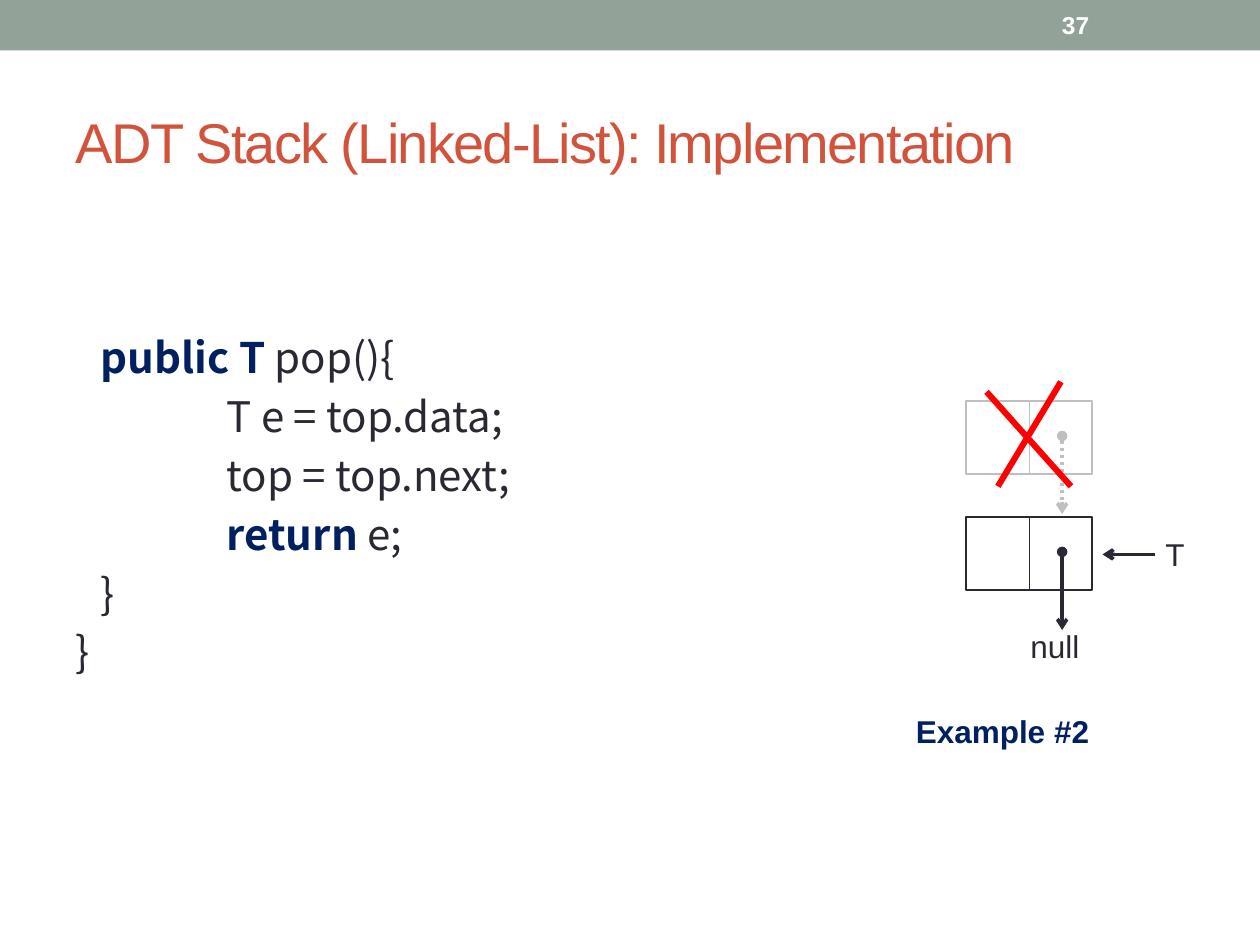
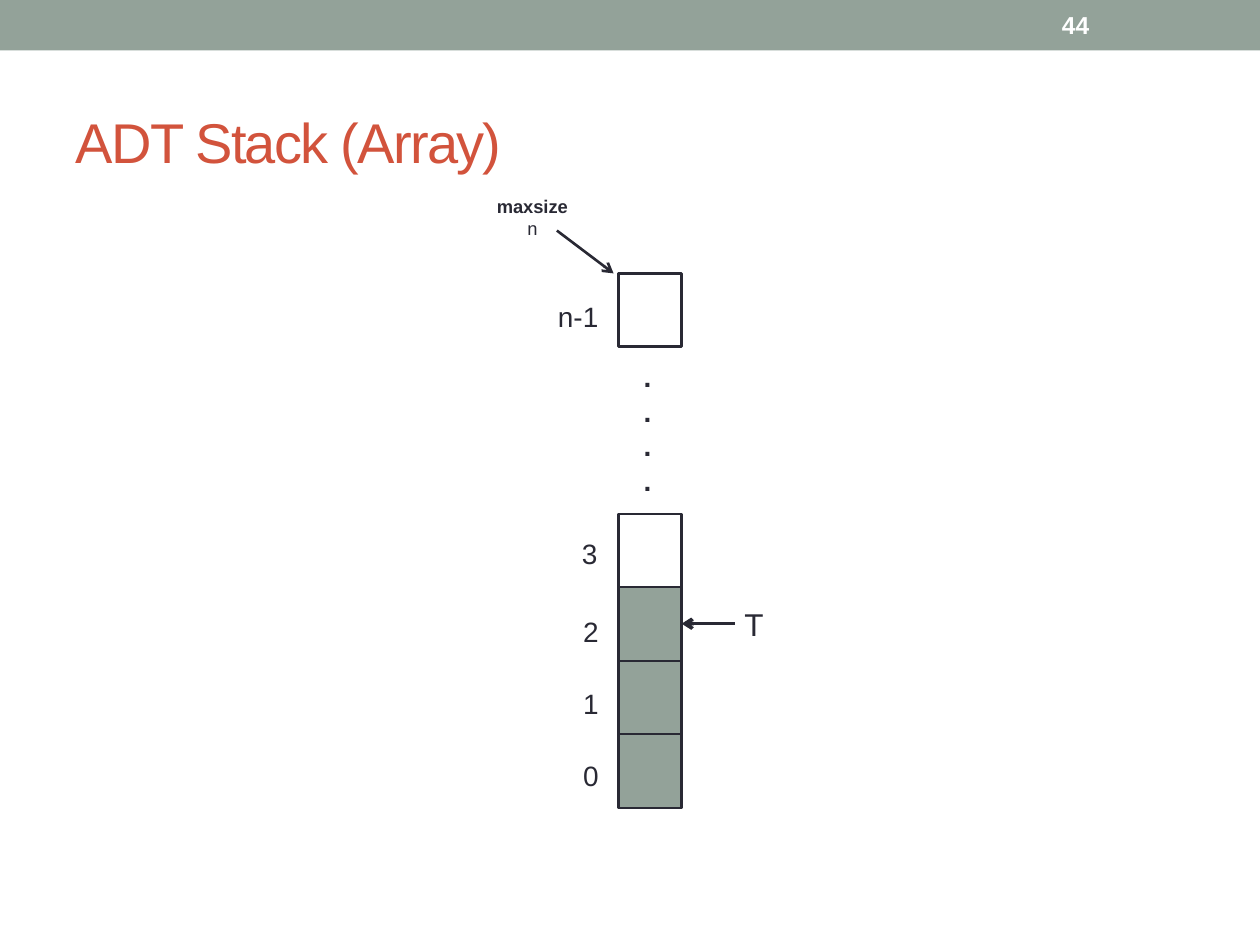
"""Build two slides on stacks: linked-list pop and the array layout."""
from lxml import etree
from pptx import Presentation
from pptx.dml.color import RGBColor
from pptx.enum.dml import MSO_LINE
from pptx.enum.shapes import MSO_CONNECTOR, MSO_SHAPE
from pptx.enum.text import MSO_ANCHOR, PP_ALIGN
from pptx.oxml.ns import qn
from pptx.util import Inches, Pt

RECT, LINE = MSO_SHAPE.RECTANGLE, MSO_CONNECTOR.STRAIGHT
MIDDLE, TOP = MSO_ANCHOR.MIDDLE, MSO_ANCHOR.TOP
LEFT, CENTER = PP_ALIGN.LEFT, PP_ALIGN.CENTER
DOT = MSO_LINE.ROUND_DOT

INK, SAGE, RUST, NAVY = "292934", "93A299", "D2533C", "002060"
WHITE, GRAY, RED = "FFFFFF", "BFBFBF", "FF0000"
SANS, CODE = "Arial", "Noto Sans CJK SC"

PAGES = [("ADT Stack (Linked-List): Implementation", "37"),
         ("ADT Stack (Array)", "44")]
POP = [(0.2, [("public T", True), (" pop(){", False)]),
       (1.2, [("T e = top.data;", False)]),
       (1.2, [("top = top.next;", False)]),
       (1.2, [("return", True), (" e;", False)]),
       (0.2, [("}", False)]),
       (0, [("}", False)])]
NODES = [(4.1, INK, None), (3.18, GRAY, DOT)]
CROSS = [(8.42, 3.03, 7.92, 3.86), (7.83, 3.11, 8.5, 3.86)]
CELLS = [("0", SAGE, 4.53, 5.97), ("1", SAGE, 4.53, 5.4),
         ("2", SAGE, 4.53, 4.83), ("3", WHITE, 4.52, 4.21)]
CELL_X, CELL_W, CELL_H, BASE = 4.91, 0.5, 0.58, 6.41
STEP = 0.583
TOP_Y = 2.17


def rgb(code):
    """Turn a hex string into a colour."""
    return RGBColor.from_string(code)


def add_run(para, text, size, color=INK, bold=False, font=SANS):
    """Add one styled run."""
    run = para.add_run()
    run.text = text
    face = run.font
    face.name, face.size, face.bold = font, Pt(size), bold
    face.color.rgb = rgb(color)
    for tag in ("a:ea", "a:cs"):
        etree.SubElement(run._r.rPr, qn(tag)).set("typeface", font)
    return run


def add_box(slide, x, y, w, h, wrap=False, anchor=TOP):
    """Add an empty text box and return its frame."""
    frame = slide.shapes.add_textbox(*map(Inches, (x, y, w, h))).text_frame
    frame.word_wrap, frame.vertical_anchor = wrap, anchor
    return frame


def add_text(slide, text, place, size, color=INK, bold=False, anchor=TOP):
    """Add a one-line label."""
    frame = add_box(slide, *place, anchor=anchor)
    add_run(frame.paragraphs[0], text, size, color, bold)


def add_rect(slide, x, y, w, h, fill, line=None):
    """Add a flat rectangle."""
    shape = slide.shapes.add_shape(RECT, *map(Inches, (x, y, w, h)))
    shape.shadow.inherit = False
    shape.fill.solid()
    shape.fill.fore_color.rgb = rgb(fill)
    if line:
        shape.line.color.rgb = rgb(line)
        shape.line.width = Pt(1.25)
    else:
        shape.line.fill.background()


def add_line(slide, ends, color, width, head=None, tail=None, dash=None):
    """Add a straight line with optional ends and dash."""
    link = slide.shapes.add_connector(LINE, *map(Inches, ends))
    link.line.color.rgb = rgb(color)
    link.line.width = Pt(width)
    if dash:
        link.line.dash_style = dash
    ln = link.line._get_or_add_ln()
    for tag, kind in (("a:headEnd", head), ("a:tailEnd", tail)):
        if kind:
            etree.SubElement(ln, qn(tag)).set("type", kind)
    etree.SubElement(link._element.spPr, qn("a:effectLst"))


def add_page(deck, title, number):
    """Add a slide with band, title and number."""
    slide = deck.slides.add_slide(deck.slide_layouts[5])
    add_rect(slide, 0, 0, 10, 0.4, SAGE)
    shape = slide.shapes.title
    shape.left, shape.top = Inches(0.5), Inches(0.58)
    shape.width, shape.height = Inches(9), Inches(1.08)
    frame = shape.text_frame
    frame.vertical_anchor = MIDDLE
    para = frame.paragraphs[0]
    para.alignment = LEFT
    run = add_run(para, title, 32, RUST)
    run._r.rPr.set("spc", "-100")
    add_text(slide, number, (8.33, 0.02, 1.17, 0.36), 14, WHITE, True, MIDDLE)
    return slide


def add_code(slide):
    """Write the pop method with indents."""
    frame = add_box(slide, 0.5, 1.75, 9, 5.33, wrap=True)
    frame.margin_top = Inches(0.81)
    for i, (dent, runs) in enumerate(POP):
        para = frame.add_paragraph() if i else frame.paragraphs[0]
        para.line_spacing = Pt(33.7)
        para._p.get_or_add_pPr().set("marL", str(Inches(dent)))
        for text, key in runs:
            add_run(para, text, 24, NAVY if key else INK, key, CODE)


def add_top(slide, x, y):
    """Mark the top of the stack with an arrow and T."""
    add_line(slide, (x + 0.42, y, x, y), INK, 2, tail="arrow")
    add_text(slide, "T", (x + 0.4, y - 0.2, 0.36, 0.4), 18)


def draw_list(slide):
    """Draw the list nodes, the removed one crossed out."""
    add_code(slide)
    add_text(slide, "null", (8.08, 4.93, 0.66, 0.4), 18)
    add_text(slide, "Example #2", (7.17, 5.6, 1.64, 0.4), 18, NAVY, True)
    for y, color, dash in NODES:
        add_rect(slide, 7.67, y, 1, CELL_H, WHITE, color)
        add_line(slide, (8.17, y, 8.17, y + CELL_H), color, 0.75)
        add_line(slide, (8.43, y + 0.28, 8.43, y + 0.9), color, 2,
                 "oval", "arrow", dash)
    add_top(slide, 8.75, 4.4)
    for ends in CROSS:
        add_line(slide, ends, RED, 3.5)


def draw_array(slide):
    """Draw the array cells with their indices."""
    for i, (name, fill, x, y) in enumerate(CELLS):
        add_rect(slide, CELL_X, BASE - (i + 1) * STEP, CELL_W, STEP, fill, INK)
        add_text(slide, name, (x, y, 0.34, 0.37), 16)
    add_top(slide, CELL_X + CELL_W, 4.95)
    add_line(slide, (4.42, 1.83, 4.87, TOP_Y), INK, 1.5, tail="arrow")
    frame = add_box(slide, 3.33, 1.5, 1.79, 0.47, wrap=True)
    size, count = frame.paragraphs[0], frame.add_paragraph()
    size.alignment = count.alignment = CENTER
    add_run(size, "maxsize", 10.5, bold=True)
    add_run(count, "n", 10.5)
    add_rect(slide, CELL_X, TOP_Y, CELL_W, CELL_H, WHITE, INK)
    add_text(slide, "n-1", (4.33, 2.33, 0.61, 0.37), 16)
    dots = add_box(slide, 5.01, 2.79, 0.27, 1.18)
    for i in range(4):
        para = dots.add_paragraph() if i else dots.paragraphs[0]
        para.line_spacing = 1.04
        add_run(para, ".", 16, bold=True)


def main():
    """Build and save the deck."""
    deck = Presentation()
    deck.slide_width, deck.slide_height = Inches(10), Inches(7.5)
    for page, draw in zip(PAGES, (draw_list, draw_array)):
        draw(add_page(deck, *page))
    deck.save("out.pptx")


main()
